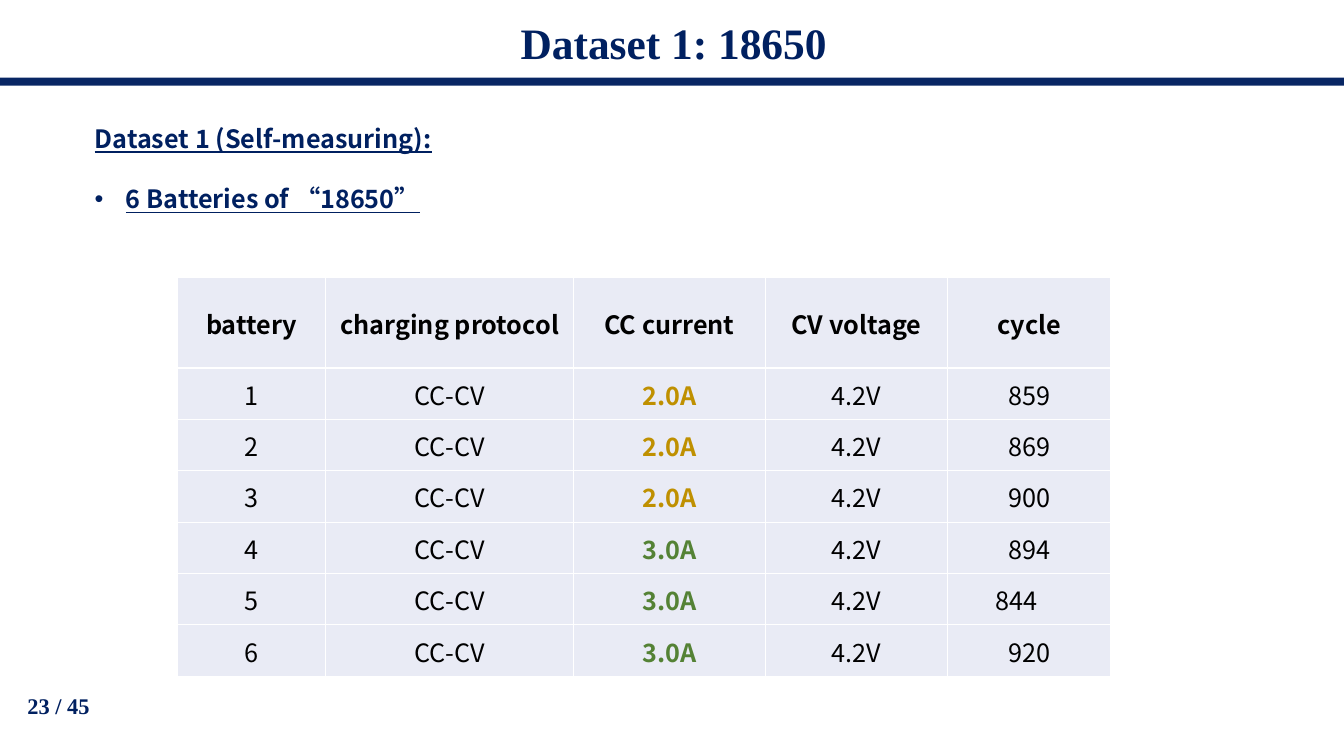
import pptx
import pptx.util
import pptx.dml.color
import pptx.enum.shapes
import pptx.enum.text
import pptx.oxml
import pptx.oxml.ns
from lxml import etree

NAVY = "002060"
BLACK = "000000"
WHITE = "FFFFFF"
CELL_FILL = "E9EBF5"
CURRENT_COLOURS = {"2.0A": "BF9000", "3.0A": "548235"}
SERIF = "Times New Roman"
SANS = "Noto Sans CJK SC"
EMU_PER_PX = 9144
CENTER = pptx.enum.text.PP_ALIGN.CENTER
LEFT = pptx.enum.text.PP_ALIGN.LEFT
MIDDLE = pptx.enum.text.MSO_ANCHOR.MIDDLE
TOP = pptx.enum.text.MSO_ANCHOR.TOP


def px(length):
    return pptx.util.Emu(length * EMU_PER_PX)


def colour(value):
    return pptx.dml.color.RGBColor.from_string(value)


def add_element(parent, tag, **attributes):
    return etree.SubElement(parent, pptx.oxml.ns.qn(tag), attributes)


class SlideBuilder:
    def __init__(self, presentation):
        self.slide = presentation.slides.add_slide(presentation.slide_layouts[6])

    def style(self, paragraph, font, size, text_colour=NAVY, bold=True, underline=None):
        for run in paragraph.runs:
            run.font.name = font
            run.font.size = pptx.util.Pt(size)
            run.font.bold = bold
            run.font.underline = underline
            run.font.color.rgb = colour(text_colour)
            add_element(run.font._element, "a:ea", typeface=font)

    def text(self, box, lines, font, size, align=LEFT, anchor=TOP, underline=None):
        shape = self.slide.shapes.add_textbox(*map(px, box))
        text_frame = shape.text_frame
        text_frame.word_wrap = True
        text_frame.vertical_anchor = anchor
        text_frame.text = "\n".join(lines)
        for paragraph in text_frame.paragraphs:
            paragraph.alignment = align
            self.style(paragraph, font, size, underline=underline)
        return text_frame

    def bullet(self, paragraph, indent):
        properties = paragraph._p.get_or_add_pPr()
        properties.set("marL", str(px(indent)))
        properties.set("indent", str(px(-indent)))
        add_element(properties, "a:buFont", typeface="Arial")
        add_element(properties, "a:buChar", char="•")

    def bar(self, box, fill, opacity):
        shape = self.slide.shapes.add_shape(
            pptx.enum.shapes.MSO_SHAPE.RECTANGLE, *map(px, box))
        shape.shadow.inherit = False
        shape.line.fill.background()
        shape.fill.solid()
        shape.fill.fore_color.rgb = colour(fill)
        fill_colour = shape._element.spPr.find(".//" + pptx.oxml.ns.qn("a:srgbClr"))
        add_element(fill_colour, "a:alpha", val=str(opacity * 1000))

    def borders(self, cell):
        properties = cell._tc.get_or_add_tcPr()
        for side in ("a:lnL", "a:lnR", "a:lnT", "a:lnB"):
            line = add_element(properties, side, w=str(pptx.util.Pt(1)))
            fill = add_element(line, "a:solidFill")
            add_element(fill, "a:srgbClr", val=WHITE)

    def cell(self, cell, value, header):
        cell.margin_left = cell.margin_right = cell.margin_top = px(1)
        cell.margin_bottom = 0
        cell.vertical_anchor = MIDDLE
        self.borders(cell)
        cell.fill.solid()
        cell.fill.fore_color.rgb = colour(CELL_FILL)
        cell.text_frame.text = value
        paragraph = cell.text_frame.paragraphs[0]
        paragraph.alignment = CENTER
        self.style(paragraph, SANS, 18, CURRENT_COLOURS.get(value, BLACK),
                   bold=header or value in CURRENT_COLOURS)

    def table(self, left, top, widths, heights, rows):
        frame = self.slide.shapes.add_table(
            len(rows), len(widths), px(left), px(top), px(sum(widths)), px(sum(heights)))
        table = frame.table
        table.horz_banding = False
        for column, width in zip(table.columns, widths):
            column.width = px(width)
        for row, height in zip(table.rows, heights):
            row.height = px(height)
        for row_index, values in enumerate(rows):
            for column_index, value in enumerate(values):
                self.cell(table.cell(row_index, column_index), value, row_index == 0)


def main():
    presentation = pptx.Presentation()
    presentation.slide_width = px(1333)
    presentation.slide_height = px(750)
    builder = SlideBuilder(presentation)

    title = builder.text((2, 14, 1332, 63), ["Dataset 1: 18650"], SERIF, 31, CENTER, MIDDLE)
    title.paragraphs[0].line_spacing = 0.9
    builder.bar((-2, 77, 1336, 8), NAVY, 97)

    body = builder.text((84, 117, 659, 101),
                        ["Dataset 1 (Self-measuring):", "6 Batteries of “18650”"],
                        SANS, 18, underline=True)
    battery_line = body.paragraphs[1]
    battery_line.space_before = pptx.util.Pt(21.8)
    builder.bullet(battery_line, 31)

    header = ["battery", "charging protocol", "CC current", "CV voltage", "cycle"]
    cycles = ["859", "869", "900", "894", "844　", "920"]
    measurements = [
        [str(number), "CC-CV", "2.0A" if number <= 3 else "3.0A", "4.2V", cycle]
        for number, cycle in enumerate(cycles, 1)
    ]
    builder.table(176, 275, [147, 246, 190, 181, 162], [90] + [51] * len(cycles),
                  [header] + measurements)

    builder.text((2, 682, 112, 37), ["23 / 45"], SERIF, 16, CENTER)
    presentation.save("out.pptx")


if __name__ == "__main__":
    main()
